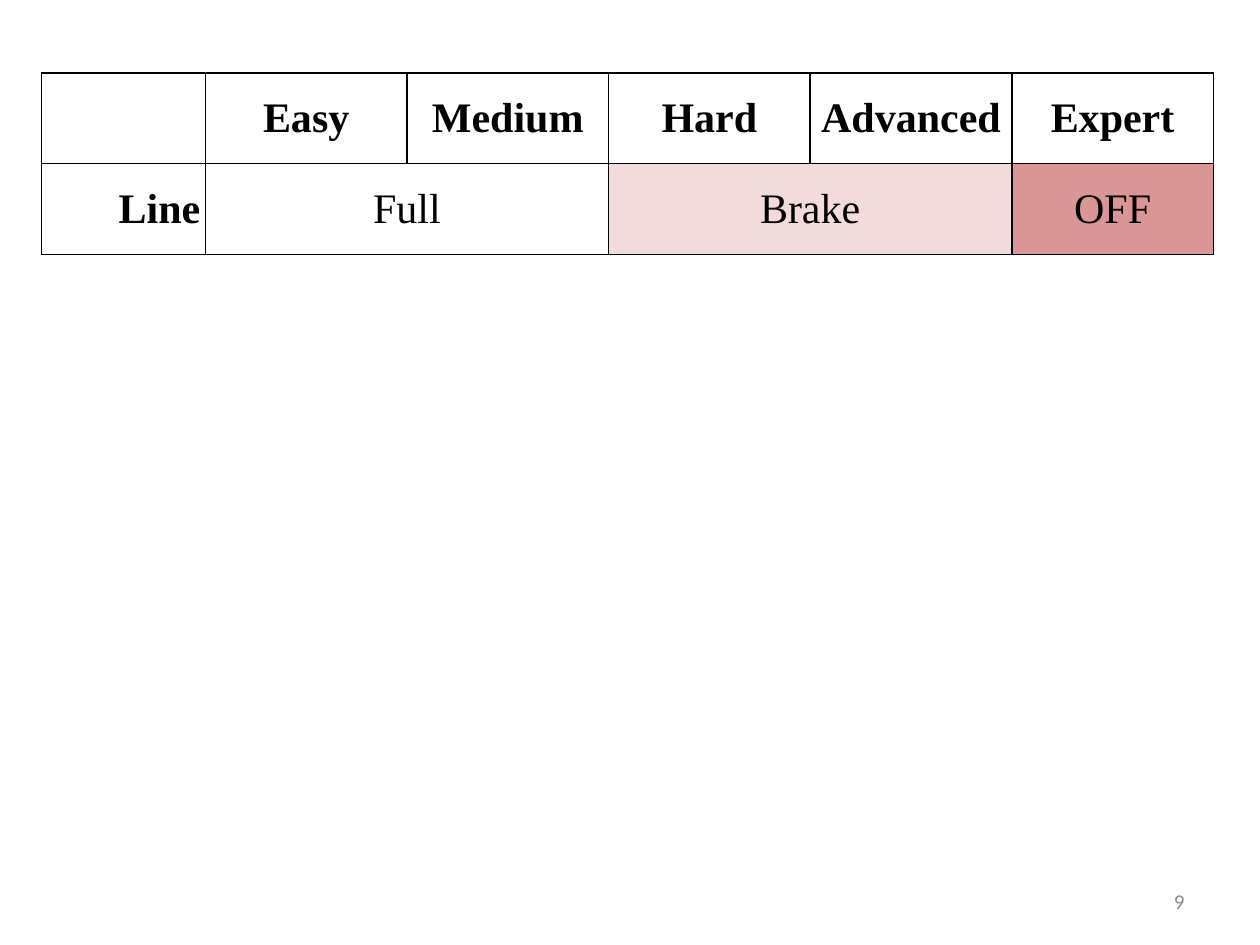
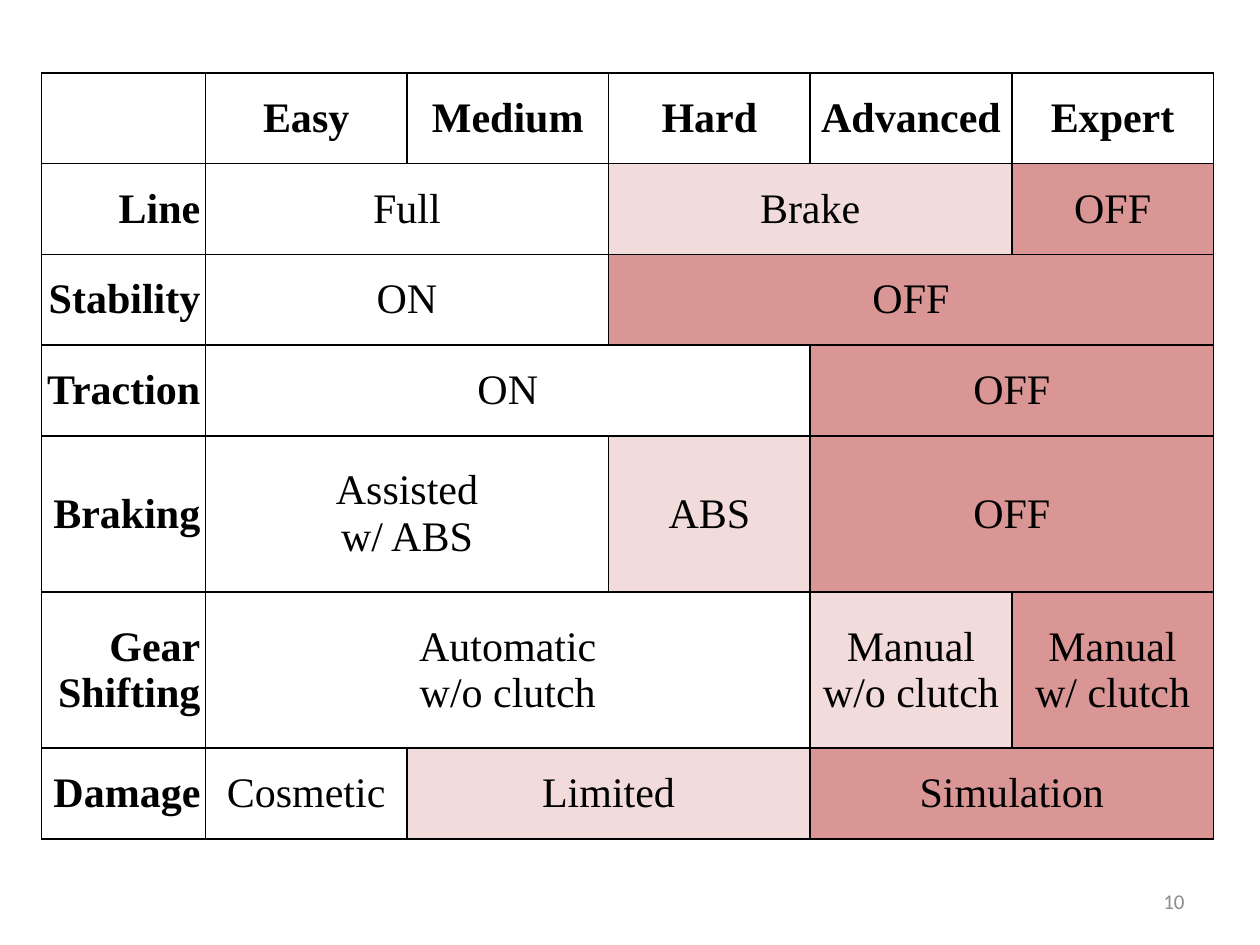
from lxml.etree import SubElement
from pptx import Presentation
from pptx.dml.color import RGBColor
from pptx.enum.text import MSO_ANCHOR, PP_ALIGN
from pptx.oxml.ns import qn
from pptx.util import Inches, Pt

BLACK = RGBColor(0x00, 0x00, 0x00)
GREY = RGBColor(0x8C, 0x8C, 0x8C)
ASSISTED = RGBColor(0xFF, 0xFF, 0xFF)
REDUCED = RGBColor(0xF2, 0xDC, 0xDB)
UNAIDED = RGBColor(0xD9, 0x96, 0x94)

LEVELS = ["Easy", "Medium", "Hard", "Advanced", "Expert"]
# Each setting: name, then (text, number of levels it covers, fill)
SETTINGS = [
    ("Line", [("Full", 2, ASSISTED), ("Brake", 2, REDUCED), ("OFF", 1, UNAIDED)]),
    ("Stability", [("ON", 2, ASSISTED), ("OFF", 3, UNAIDED)]),
    ("Traction", [("ON", 3, ASSISTED), ("OFF", 2, UNAIDED)]),
    ("Braking", [("Assisted\nw/ ABS", 2, ASSISTED), ("ABS", 1, REDUCED),
                 ("OFF", 2, UNAIDED)]),
    ("Gear\nShifting", [("Automatic\nw/o clutch", 3, ASSISTED),
                        ("Manual\nw/o clutch", 1, REDUCED),
                        ("Manual\nw/ clutch", 1, UNAIDED)]),
    ("Damage", [("Cosmetic", 1, ASSISTED), ("Limited", 2, REDUCED),
                ("Simulation", 2, UNAIDED)]),
]
PAGES = [(9, SETTINGS[:1]), (10, SETTINGS)]

TABLE_LEFT, TABLE_TOP = 0.33, 0.58
NAME_WIDTH, LEVEL_WIDTH = 1.3, 1.6
LINE_HEIGHTS = {1: 0.72, 2: 1.24}
CELL_FORMAT = {
    "margin_left": Inches(0.04), "margin_right": Inches(0.04),
    "margin_top": Inches(0.03), "margin_bottom": Inches(0.03),
    "vertical_anchor": MSO_ANCHOR.MIDDLE,
}
TABLE_FONT = {"name": "Times New Roman", "size": Pt(24)}
NUMBER_FONT = {"name": "Calibri", "size": Pt(12)}


def apply_format(target, values):
    for name, value in values.items():
        setattr(target, name, value)


def write_text(frame, text, align, font, color):
    frame.text = text
    for para in frame.paragraphs:
        para.alignment = align
        apply_format(para.font, font)
        para.font.color.rgb = color


def add_borders(cell):
    properties = cell._tc.get_or_add_tcPr()
    for side in ("lnL", "lnR", "lnT", "lnB"):
        line = SubElement(properties, qn(f"a:{side}"), w=str(Pt(1)))
        fill = SubElement(line, qn("a:solidFill"))
        SubElement(fill, qn("a:srgbClr"), val=str(BLACK))


def add_settings_table(page, settings):
    header = ("", [(level, 1, ASSISTED) for level in LEVELS])
    rows = [header] + settings
    widths = [NAME_WIDTH] + [LEVEL_WIDTH] * len(LEVELS)
    heights = [LINE_HEIGHTS[max(text.count("\n") + 1
                                for text in [name] + [part[0] for part in parts])]
               for name, parts in rows]
    frame = page.shapes.add_table(
        len(rows), len(widths), Inches(TABLE_LEFT), Inches(TABLE_TOP),
        Inches(sum(widths)), Inches(sum(heights)))
    table = frame.table
    for column, width in zip(table.columns, widths):
        column.width = Inches(width)
    for row, height in zip(table.rows, heights):
        row.height = Inches(height)
    for cell in table.iter_cells():
        add_borders(cell)

    for row, (name, parts) in enumerate(rows):
        column = 0
        for text, span, color in [(name, 1, ASSISTED)] + parts:
            cell = table.cell(row, column)
            last = column + span - 1
            if span > 1:
                cell.merge(table.cell(row, last))
            for covered in range(column, last + 1):
                fill = table.cell(row, covered).fill
                fill.solid()
                fill.fore_color.rgb = color
            apply_format(cell, CELL_FORMAT)
            align = PP_ALIGN.CENTER if column else PP_ALIGN.RIGHT
            bold = row == 0 or column == 0
            write_text(cell.text_frame, text, align,
                       {**TABLE_FONT, "bold": bold}, BLACK)
            column += span


def add_page_number(page, number):
    box = page.shapes.add_textbox(Inches(7.17), Inches(6.95), Inches(2.33), Inches(0.4))
    box.text_frame.word_wrap = True
    box.text_frame.vertical_anchor = MSO_ANCHOR.MIDDLE
    write_text(box.text_frame, str(number), PP_ALIGN.RIGHT, NUMBER_FONT, GREY)


def main():
    deck = Presentation()
    deck.slide_width, deck.slide_height = Inches(10), Inches(7.5)
    blank = deck.slide_layouts[6]
    for number, settings in PAGES:
        page = deck.slides.add_slide(blank)
        add_page_number(page, number)
        add_settings_table(page, settings)
    deck.save("out.pptx")


if __name__ == "__main__":
    main()
